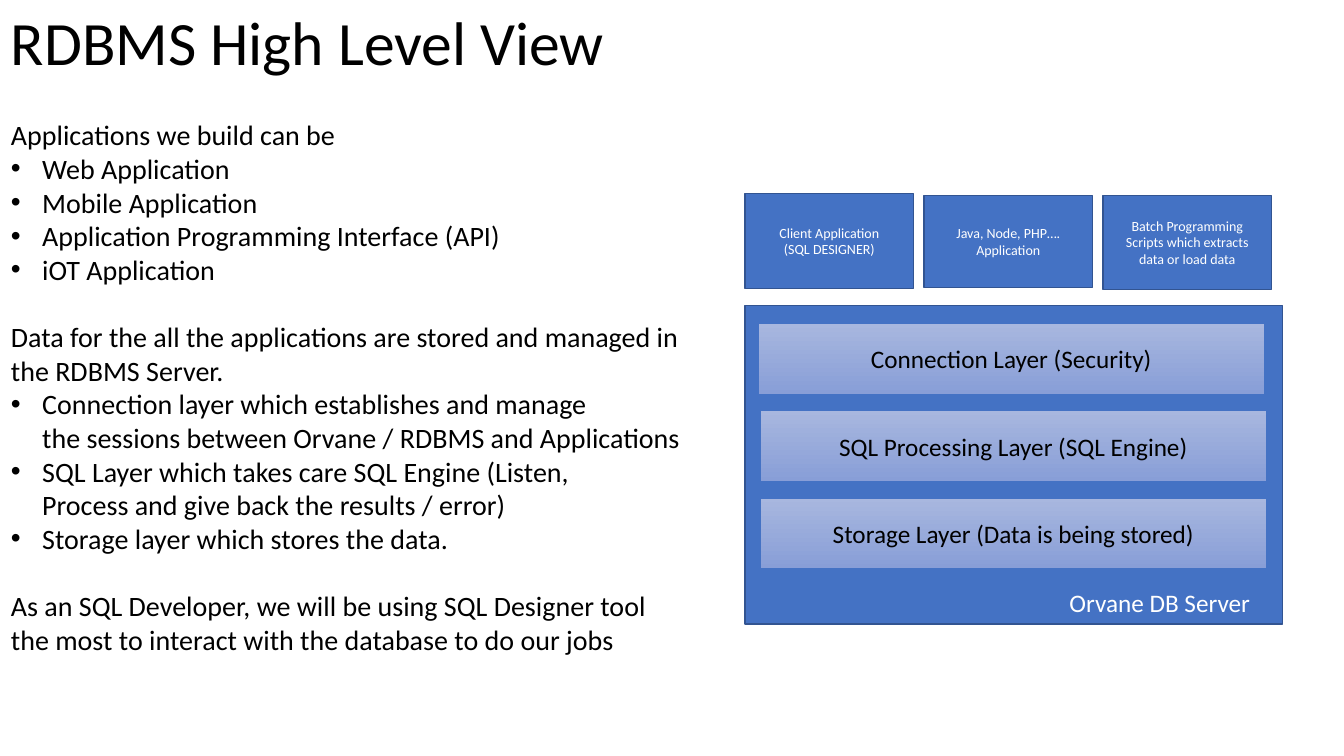
from pptx import Presentation
from pptx.dml.color import RGBColor
from pptx.enum.shapes import MSO_SHAPE
from pptx.enum.text import MSO_ANCHOR, PP_ALIGN
from pptx.util import Inches, Pt
from lxml.etree import SubElement
from pptx.oxml.ns import qn

FONT = "Calibri"
BLACK, WHITE, BLUE, EDGE = "000000", "FFFFFF", "4472C4", "325491"
LAYER_TOP, LAYER_BOTTOM = "A8B7DF", "889ED7"
TITLE = "RDBMS High Level View"
SECTIONS = [
    ("Applications we build can be", [
        "Web Application",
        "Mobile Application",
        "Application Programming Interface (API)",
        "iOT Application",
    ]),
    ("Data for the all the applications are stored and managed in the RDBMS Server.", [
        "Connection layer which establishes and manage\n"
        "the sessions between Orvane / RDBMS and Applications",
        "SQL Layer which takes care SQL Engine (Listen,\n"
        "Process and give back the results / error)",
        "Storage layer which stores the data.",
    ]),
    ("As an SQL Developer, we will be using SQL Designer tool "
     "the most to interact with the database to do our jobs", []),
]
CLIENTS = [
    ("Client Application\n(SQL DESIGNER)", 1.92, 0.94),
    ("Java, Node, PHP…. Application", 1.94, 0.91),
    ("Batch Programming Scripts which extracts data or load data", 1.94, 0.93),
]
SERVER = "Orvane DB Server"
LAYERS = [
    ("Connection Layer (Security)", 7.52),
    ("SQL Processing Layer (SQL Engine)", 7.54),
    ("Storage Layer (Data is being stored)", 7.54),
]
DIAGRAM_LEFT, CLIENT_STEP = 7.39, 1.775
LAYERS_TOP, LAYER_STEP = 3.21, 0.865


def color(value):
    return RGBColor.from_string(value)


def style(para, size, ink):
    for span in para.runs:
        span.font.name = FONT
        span.font.size = Pt(size)
        span.font.color.rgb = color(ink)


def add_text(page, left, top, width, height):
    box = page.shapes.add_textbox(*map(Inches, (left, top, width, height)))
    box.text_frame.word_wrap = True
    return box.text_frame


def add_box(page, text, place, size, ink, edge, weight):
    box = page.shapes.add_shape(MSO_SHAPE.RECTANGLE, *map(Inches, place))
    box.shadow.inherit = False
    box.fill.solid()
    box.fill.fore_color.rgb = color(BLUE)
    box.line.color.rgb = color(edge)
    box.line.width = Pt(weight)
    frame = box.text_frame
    frame.word_wrap = True
    frame.vertical_anchor = MSO_ANCHOR.MIDDLE
    frame.text = text
    for para in frame.paragraphs:
        para.alignment = PP_ALIGN.CENTER
        style(para, size, ink)
    return box


def add_title(page):
    frame = add_text(page, 0.01, 0.01, 12.36, 0.89)
    frame.vertical_anchor = MSO_ANCHOR.MIDDLE
    frame.text = TITLE
    frame.paragraphs[0].line_spacing = 0.9
    style(frame.paragraphs[0], 44, BLACK)


def add_body(page):
    frame = add_text(page, 0.01, 1.12, 6.91, 5.49)
    for index, (lead, bullets) in enumerate(SECTIONS):
        para = frame.add_paragraph() if index else frame.paragraphs[0]
        para.text = lead
        para.space_before = Pt(24 if index else 0)
        style(para, 20, BLACK)
        for bullet in bullets:
            para = frame.add_paragraph()
            para.text = bullet
            style(para, 20, BLACK)
            props = para._p.get_or_add_pPr()
            props.set("marL", str(Inches(0.31)))
            props.set("indent", str(-Inches(0.31)))
            SubElement(props, qn("a:buFont"), typeface="Arial")
            SubElement(props, qn("a:buChar"), char="•")


def add_diagram(page):
    for index, (text, top, height) in enumerate(CLIENTS):
        left = DIAGRAM_LEFT + index * CLIENT_STEP
        add_box(page, text, (left, top, 1.67, height), 10, WHITE, EDGE, 1)

    server = add_box(page, SERVER, (DIAGRAM_LEFT, 3.03, 5.33, 3.16), 18, WHITE, EDGE, 1)
    frame = server.text_frame
    frame.vertical_anchor = MSO_ANCHOR.BOTTOM
    frame.margin_right, frame.margin_bottom = Inches(0.32), Inches(0.06)
    frame.paragraphs[0].alignment = PP_ALIGN.RIGHT

    for index, (text, left) in enumerate(LAYERS):
        top = LAYERS_TOP + index * LAYER_STEP
        layer = add_box(page, text, (left, top, 5.02, 0.7), 18, BLACK, BLUE, 0.5)
        layer.fill.gradient()
        layer.fill.gradient_angle = 270
        for stop, shade in zip(layer.fill.gradient_stops, (LAYER_TOP, LAYER_BOTTOM)):
            stop.color.rgb = color(shade)


def main():
    deck = Presentation()
    deck.slide_width, deck.slide_height = Inches(13.33), Inches(7.5)
    page = deck.slides.add_slide(deck.slide_layouts[6])
    add_title(page)
    add_body(page)
    add_diagram(page)
    deck.save("out.pptx")


if __name__ == "__main__":
    main()
